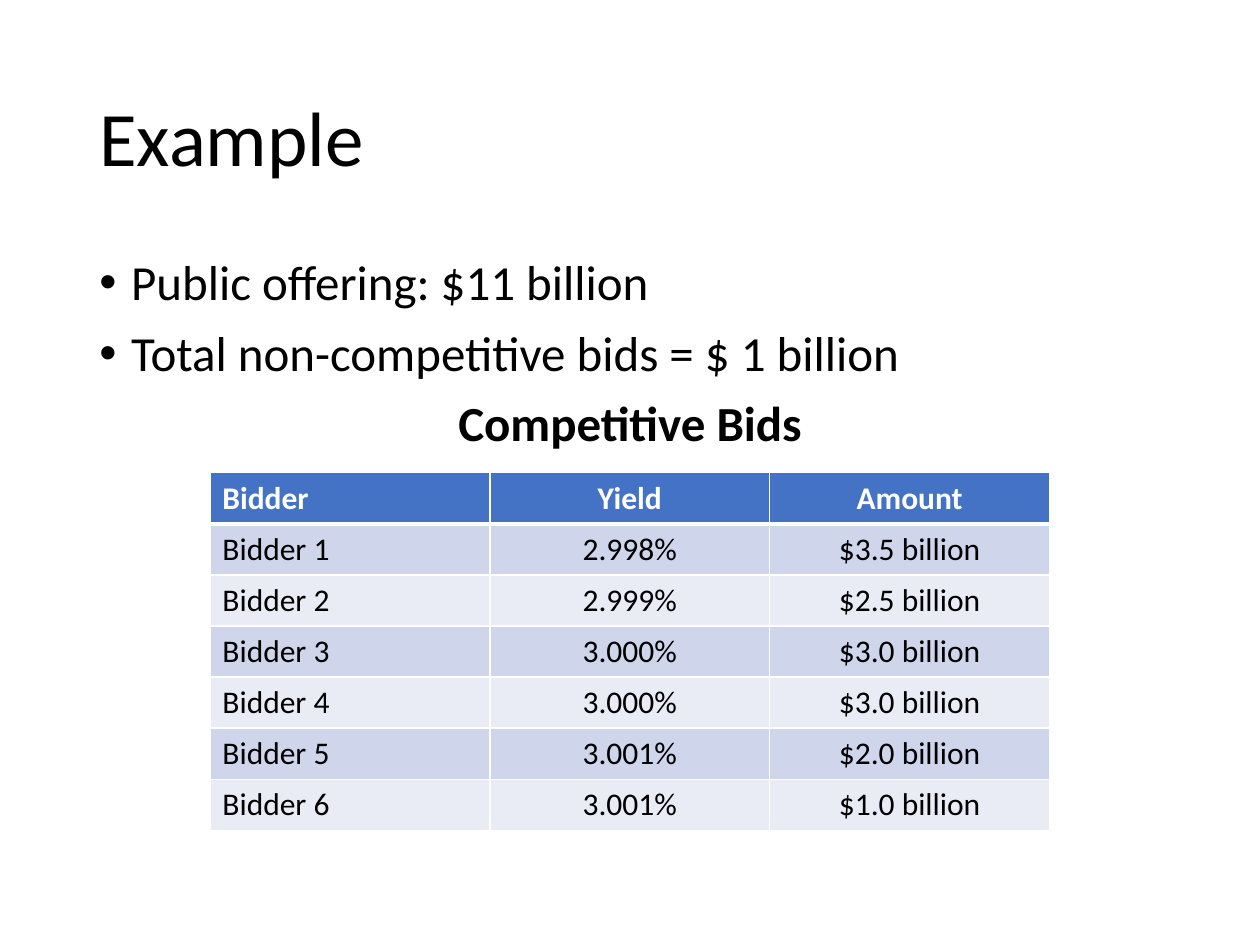
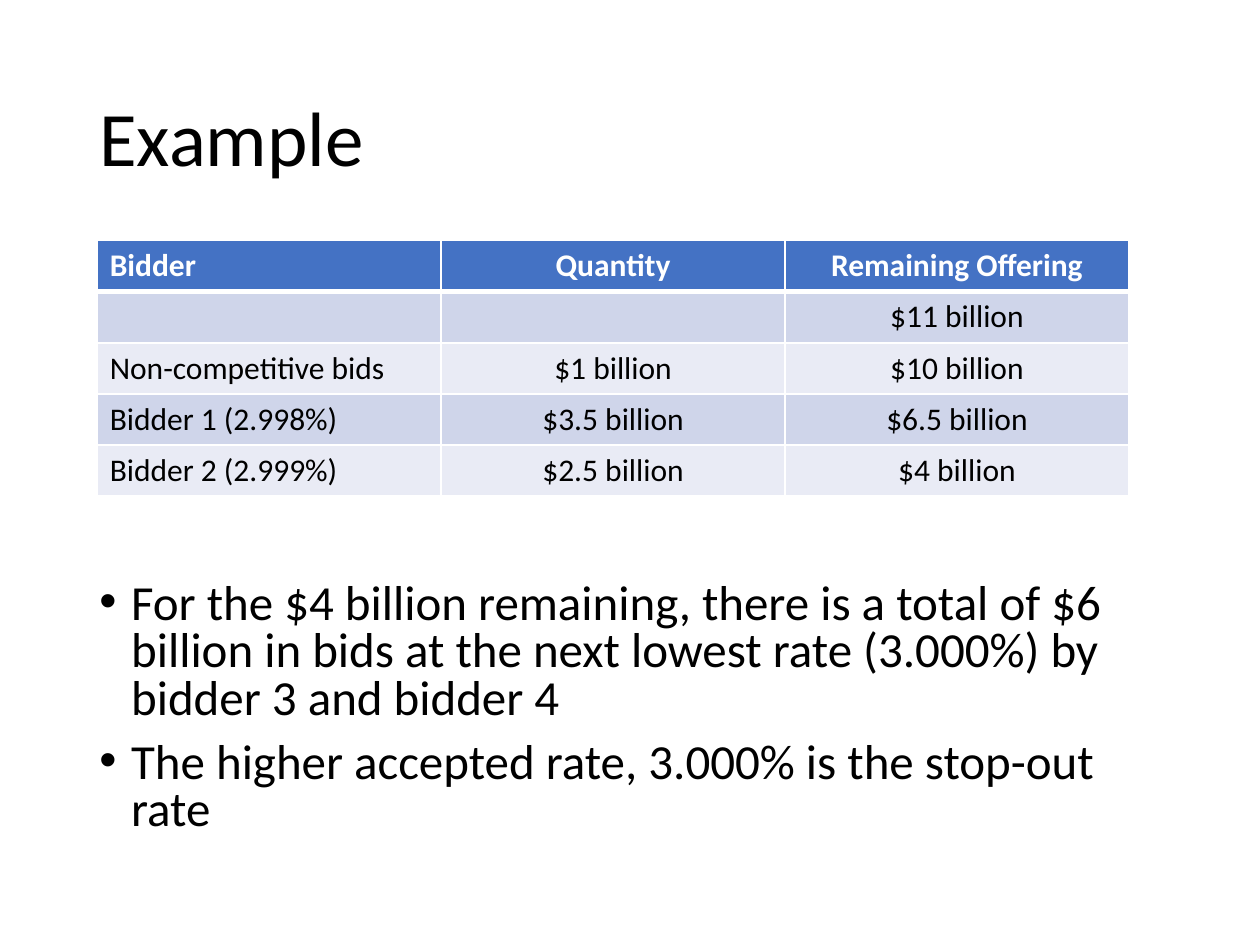
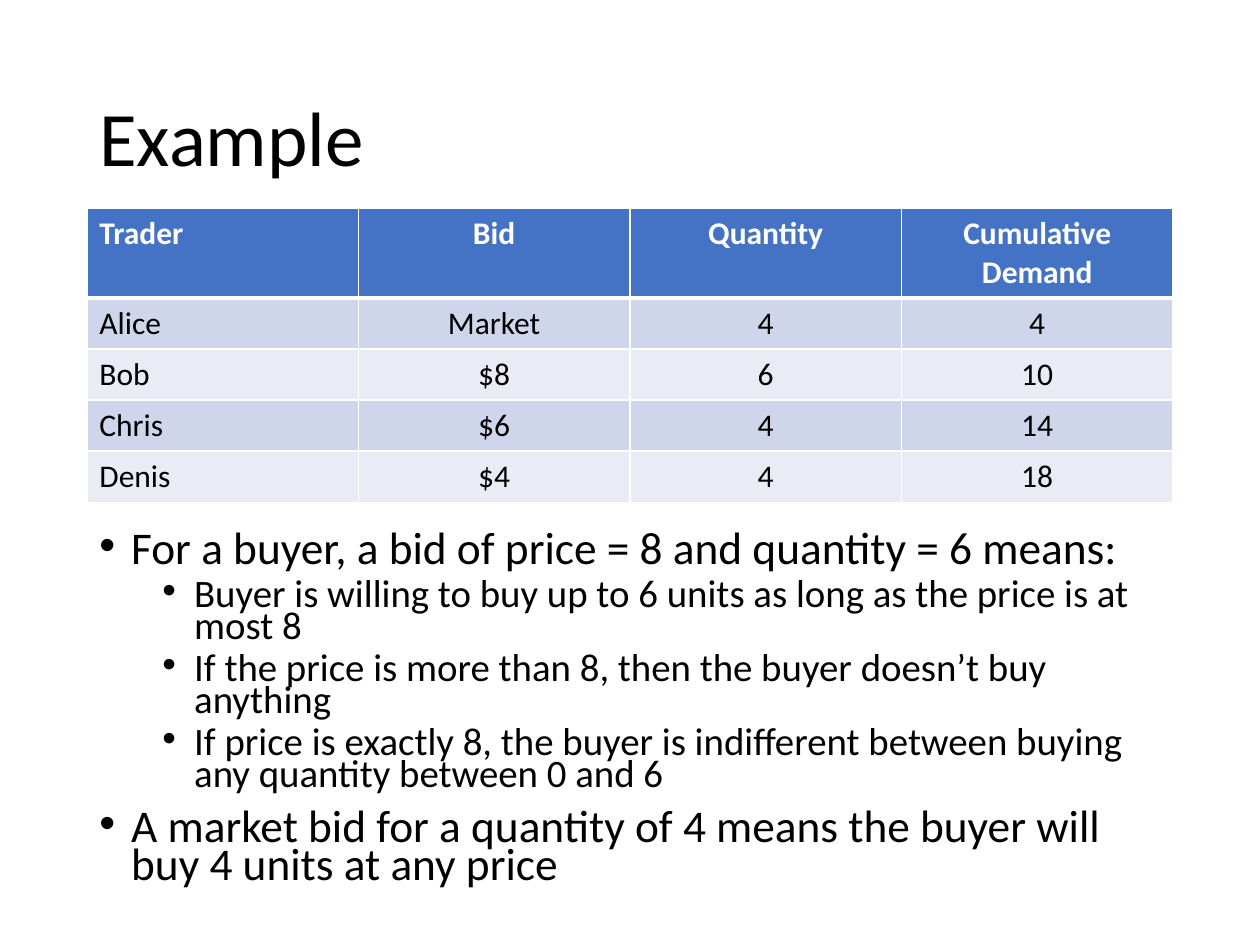
from collections import namedtuple
from dataclasses import dataclass

from lxml import etree
from pptx import Presentation
from pptx import util as u
from pptx.dml.color import RGBColor
from pptx.enum import text
from pptx.oxml import ns

Box = namedtuple("Box", "left top width height")
Line = namedtuple("Line", "text kind", defaults=["bullet"])
Style = namedtuple("Style", "level margin hang before align bold")


@dataclass(frozen=True)
class Theme:
    font: str = "Calibri"
    ink: str = "000000"
    paper: str = "FFFFFF"
    header: str = "4472C4"
    bands: tuple = ("CFD5EA", "E9EBF5")
    title_size: float = 44
    body_size: float = 28
    dense_size: float = 25.9
    dense_sub_size: float = 22.2
    table_size: float = 18
    rule: float = 1
    header_rule: float = 3


THEME = Theme()
LEFT, CENTER = text.PP_ALIGN.LEFT, text.PP_ALIGN.CENTER
STYLES = {
    "bullet": Style(0, 0.64, 0.64, 10, LEFT, False),
    "sub": Style(1, 1.91, 0.64, 5, LEFT, False),
    "caption": Style(0, 0, 0, 10, CENTER, True),
}
TITLE_BOX = Box(1.75, 1.02, 21.9, 3.68)
ROW_HEIGHT = 1.03


def format_runs(p, size, color, bold=False):
    for r in p.runs:
        r.font.name = THEME.font
        r.font.size = u.Pt(size)
        r.font.bold = bold
        r.font.color.rgb = RGBColor.from_string(color)


def place(sp, box):
    sp.left, sp.top, sp.width, sp.height = map(u.Cm, box)


def set_bullet(p, style):
    pPr = p._p.get_or_add_pPr()
    pPr.set("marL", str(u.Cm(style.margin)))
    pPr.set("indent", str(-u.Cm(style.hang)))
    if style.hang:
        font = etree.SubElement(pPr, ns.qn("a:buFont"))
        font.set("typeface", "Arial")
        etree.SubElement(pPr, ns.qn("a:buChar")).set("char", "•")
    else:
        etree.SubElement(pPr, ns.qn("a:buNone"))


def add_title(s, title, box):
    sp = s.shapes.title
    place(sp, box)
    tf = sp.text_frame
    tf.text = title
    tf.auto_size = text.MSO_AUTO_SIZE.NONE
    tf.vertical_anchor = text.MSO_ANCHOR.MIDDLE
    p = tf.paragraphs[0]
    p.alignment = LEFT
    p.line_spacing = 0.9
    format_runs(p, THEME.title_size, THEME.ink)


def add_body(s, lines, box, spacing, sizes):
    sp = s.placeholders[1]
    place(sp, box)
    tf = sp.text_frame
    tf.text = "\n".join(line.text for line in lines)
    tf.auto_size = text.MSO_AUTO_SIZE.NONE
    tf.vertical_anchor = text.MSO_ANCHOR.TOP
    for i, (p, line) in enumerate(zip(tf.paragraphs, lines)):
        style = STYLES[line.kind]
        set_bullet(p, style)
        p.level = style.level
        p.alignment = style.align
        p.line_spacing = spacing
        p.space_before = u.Pt(style.before if i else 0)
        format_runs(p, sizes[style.level], THEME.ink, style.bold)


def set_borders(cell, row):
    tcPr = cell._tc.get_or_add_tcPr()
    thick = {(0, "lnB"), (1, "lnT")}
    for edge in ("lnL", "lnR", "lnT", "lnB"):
        width = THEME.header_rule if (row, edge) in thick else THEME.rule
        ln = etree.SubElement(tcPr, ns.qn(f"a:{edge}"), w=str(u.Pt(width)))
        fill = etree.SubElement(ln, ns.qn("a:solidFill"))
        etree.SubElement(fill, ns.qn("a:srgbClr"), val=THEME.paper)


def add_bid_table(s, rows, box):
    table = s.shapes.add_table(len(rows), len(rows[0]), *map(u.Cm, box)).table
    for column in table.columns:
        column.width = u.Cm(box.width / len(rows[0]))
    for i, values in enumerate(rows):
        header_height = box.height - ROW_HEIGHT * (len(rows) - 1)
        table.rows[i].height = u.Cm(ROW_HEIGHT if i else header_height)
        for j, value in enumerate(values):
            cell = table.cell(i, j)
            set_borders(cell, i)
            cell.fill.solid()
            fill = THEME.bands[(i - 1) % 2] if i else THEME.header
            cell.fill.fore_color.rgb = RGBColor.from_string(fill)
            p = cell.text_frame.paragraphs[0]
            p.text = value
            p.alignment = CENTER if j else LEFT
            format_runs(p, THEME.table_size, THEME.ink if i else THEME.paper, not i)


def add_example(prs, lines, body_box, spacing, sizes, rows, table_box):
    s = prs.slides.add_slide(prs.slide_layouts[1])
    add_title(s, "Example", TITLE_BOX)
    add_body(s, lines, body_box, spacing, sizes)
    add_bid_table(s, rows, table_box)


def main():
    prs = Presentation()
    prs.slide_width, prs.slide_height = u.Cm(25.4), u.Cm(19.05)

    add_example(
        prs,
        [
            Line("Public offering: $11 billion"),
            Line("Total non-competitive bids = $ 1 billion"),
            Line("Competitive Bids", "caption"),
        ],
        Box(1.75, 5.08, 21.9, 12.09), 0.9, [THEME.body_size],
        [
            ("Bidder", "Yield", "Amount"),
            ("Bidder 1", "2.998%", "$3.5 billion"),
            ("Bidder 2", "2.999%", "$2.5 billion"),
            ("Bidder 3", "3.000%", "$3.0 billion"),
            ("Bidder 4", "3.000%", "$3.0 billion"),
            ("Bidder 5", "3.001%", "$2.0 billion"),
            ("Bidder 6", "3.001%", "$1.0 billion"),
        ],
        Box(4.23, 9.53, 16.93, 7.21),
    )
    add_example(
        prs,
        [
            Line("For the $4 billion remaining, there is a total of $6 billion in bids "
                 "at the next lowest rate (3.000%) by bidder 3 and bidder 4"),
            Line("The higher accepted rate, 3.000% is the stop-out rate"),
        ],
        Box(1.75, 11.63, 21.9, 5.82), 0.8, [THEME.body_size],
        [
            ("Bidder", "Quantity", "Remaining Offering"),
            ("", "", "$11 billion"),
            ("Non-competitive bids", "$1 billion", "$10 billion"),
            ("Bidder 1 (2.998%)", "$3.5 billion", "$6.5 billion"),
            ("Bidder 2 (2.999%)", "$2.5 billion", "$4 billion"),
        ],
        Box(1.96, 4.85, 20.8, 5.15),
    )
    add_example(
        prs,
        [
            Line("For a buyer, a bid of price = 8 and quantity = 6 means:"),
            Line("Buyer is willing to buy up to 6 units as long as the price is at most 8", "sub"),
            Line("If the price is more than 8, then the buyer doesn’t buy anything", "sub"),
            Line("If price is exactly 8, the buyer is indifferent between buying "
                 "any quantity between 0 and 6", "sub"),
            Line("A market bid for a quantity of 4 means the buyer will buy 4 units at any price"),
        ],
        Box(1.75, 10.64, 21.9, 7.65), 0.7, [THEME.dense_size, THEME.dense_sub_size],
        [
            ("Trader", "Bid", "Quantity", "Cumulative Demand"),
            ("Alice", "Market", "4", "4"),
            ("Bob", "$8", "6", "10"),
            ("Chris", "$6", "4", "14"),
            ("Denis", "$4", "4", "18"),
        ],
        Box(1.75, 4.2, 21.9, 5.9),
    )
    prs.save("out.pptx")


if __name__ == "__main__":
    main()
